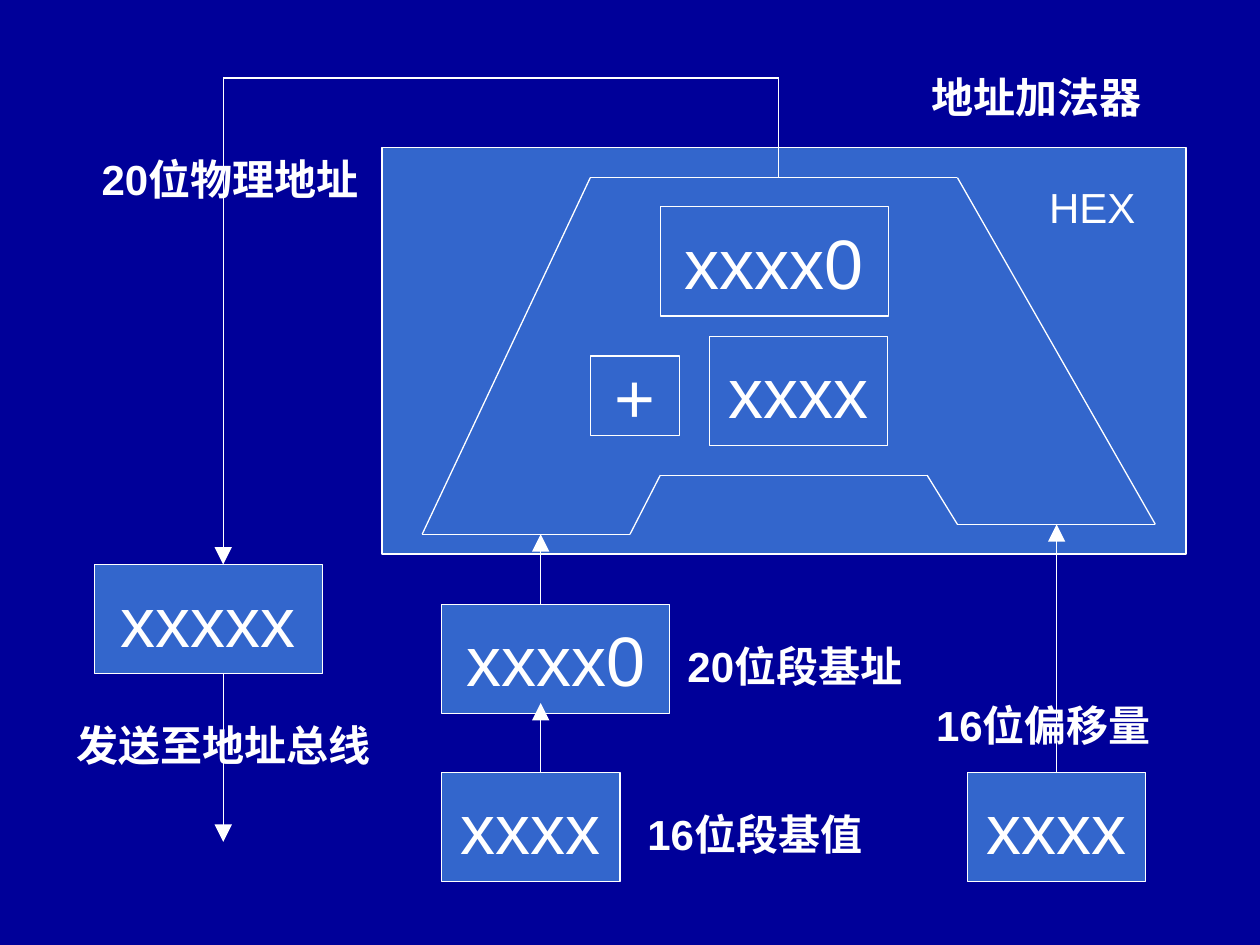
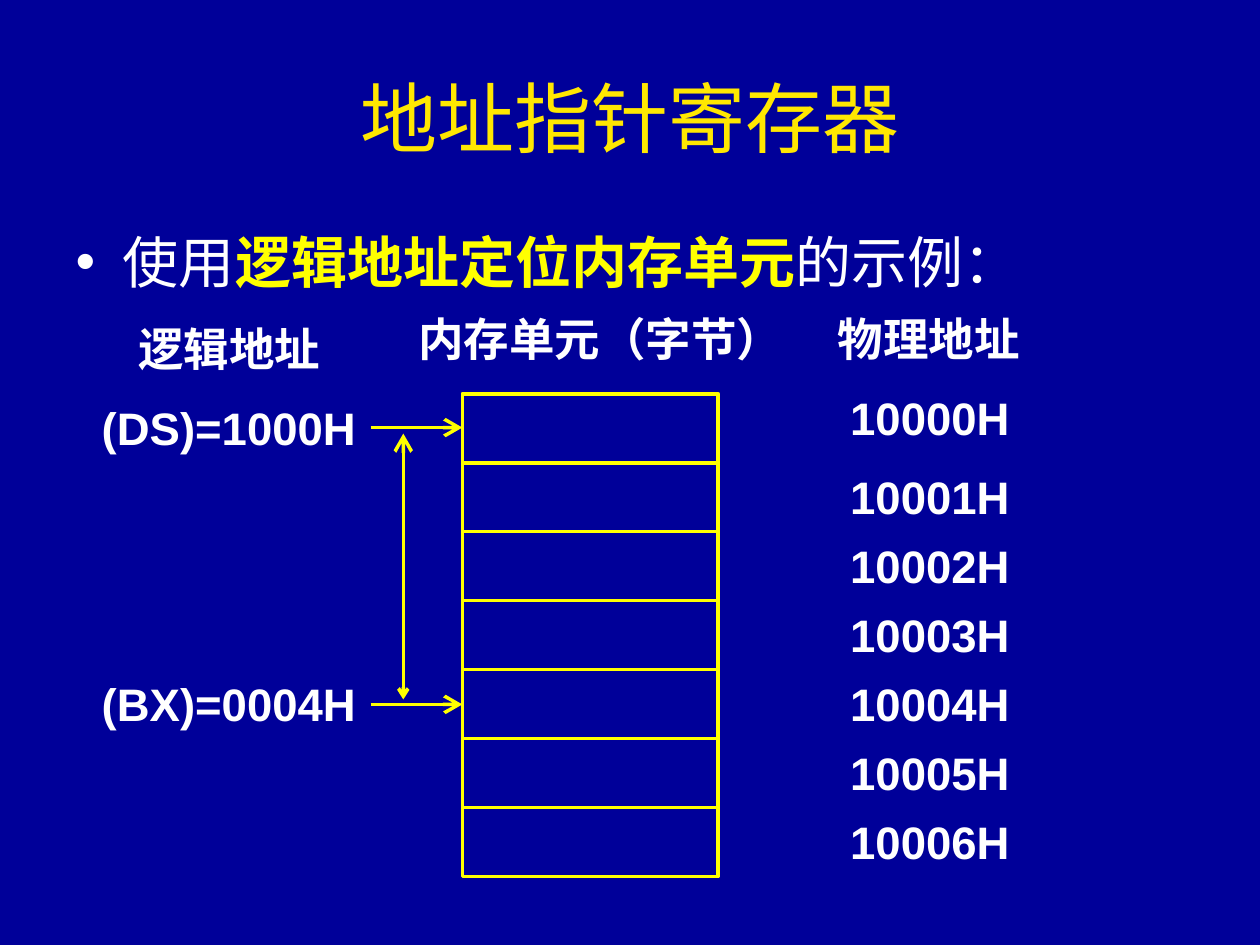
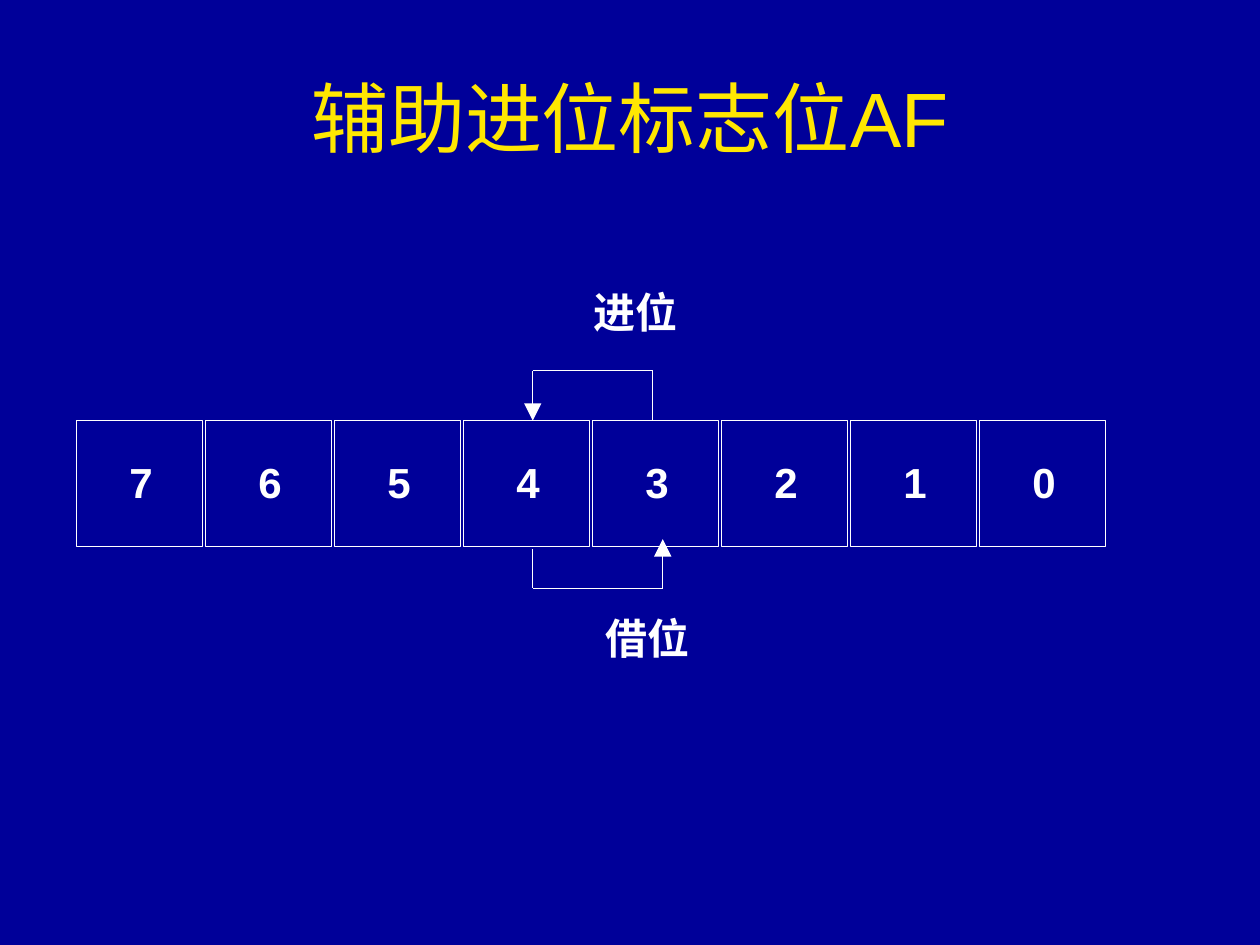
import dataclasses
import itertools
import typing

import lxml.etree
import pptx
import pptx.dml.color
import pptx.enum.shapes
import pptx.enum.text
import pptx.oxml.ns
import pptx.util

Cm = pptx.util.Cm
Pt = pptx.util.Pt
qn = pptx.oxml.ns.qn
Point = tuple[float, float]

HUES = {
    "back": "000099",
    "panel": "3366CC",
    "white": "FFFFFF",
    "title": "FFE701",
    "yellow": "FFFF00",
}
FACE = "Arial"
FORMS = {
    "title": {"size": Pt(44), "bold": False, "name": FACE},
    "list": {"size": Pt(32), "bold": False, "name": FACE},
    "strong": {"size": Pt(32), "bold": True, "name": FACE},
    "value": {"size": Pt(40), "bold": False, "name": FACE},
    "plain": {"size": Pt(24), "bold": False, "name": FACE},
    "label": {"size": Pt(24), "bold": True, "name": FACE},
    "head": {"size": Pt(26), "bold": True, "name": FACE},
}
THIN, THICK = 0.75, 2


# Elements, with all lengths in centimetres
@dataclasses.dataclass
class Box:
    left: float
    top: float
    width: float
    height: float
    text: str = ""
    fill: str = ""
    edge: str = "white"
    weight: float = THIN


@dataclasses.dataclass
class Label:
    left: float
    top: float
    width: float
    text: str
    form: str = "label"
    height: float = 1.27


@dataclasses.dataclass
class Route:
    points: list[Point]
    tail: str = ""
    head: str = ""
    hue: str = "white"
    weight: float = THIN


# Shared drawing
def color(name: str) -> pptx.dml.color.RGBColor:
    return pptx.dml.color.RGBColor.from_string(HUES[name])


def apply(target: typing.Any, form: dict[str, typing.Any]) -> None:
    for key, value in form.items():
        setattr(target, key, value)


def write(para: typing.Any, text: str, form: str, hue: str = "white") -> None:
    run = para.add_run()
    run.text = text
    apply(run.font, FORMS[form])
    run.font.color.rgb = color(hue)
    east = lxml.etree.SubElement(run.font._element, qn("a:ea"))
    east.set("typeface", FACE)


def place(shape: typing.Any, left: float, top: float,
          width: float, height: float) -> None:
    apply(shape, {"left": Cm(left), "top": Cm(top),
                  "width": Cm(width), "height": Cm(height)})


def stroke(line: typing.Any, hue: str, weight: float) -> None:
    line.color.rgb = color(hue)
    line.width = Pt(weight)


def draw_box(slide: typing.Any, box: Box) -> None:
    shape = slide.shapes.add_shape(
        pptx.enum.shapes.MSO_SHAPE.RECTANGLE,
        Cm(box.left), Cm(box.top), Cm(box.width), Cm(box.height))
    shape.shadow.inherit = False
    stroke(shape.line, box.edge, box.weight)
    if box.fill:
        shape.fill.solid()
        shape.fill.fore_color.rgb = color(box.fill)
    else:
        shape.fill.background()
    if box.text:
        frame = shape.text_frame
        apply(frame, {"word_wrap": False,
                      "vertical_anchor": pptx.enum.text.MSO_ANCHOR.MIDDLE})
        para = frame.paragraphs[0]
        para.alignment = pptx.enum.text.PP_ALIGN.CENTER
        write(para, box.text, "value")


def draw_label(slide: typing.Any, label: Label) -> None:
    shape = slide.shapes.add_textbox(
        Cm(label.left), Cm(label.top), Cm(label.width), Cm(label.height))
    frame = shape.text_frame
    # A narrow right inset keeps each label on one line
    apply(frame, {"word_wrap": False, "margin_right": Cm(0.1),
                  "auto_size": pptx.enum.text.MSO_AUTO_SIZE.SHAPE_TO_FIT_TEXT})
    write(frame.paragraphs[0], label.text, label.form)


def draw_route(slide: typing.Any, route: Route) -> None:
    for start, end in itertools.pairwise(route.points):
        line = slide.shapes.add_connector(
            pptx.enum.shapes.MSO_CONNECTOR.STRAIGHT,
            *map(Cm, start), *map(Cm, end))
        stroke(line.line, route.hue, route.weight)
        props = line._element.spPr
        ends = [
            ("a:headEnd", route.head if start == route.points[0] else "", "med"),
            ("a:tailEnd", route.tail if end == route.points[-1] else "", "lg"),
        ]
        for tag, kind, size in ends:
            if kind:
                tip = lxml.etree.SubElement(props.find(qn("a:ln")), qn(tag))
                for key, value in {"type": kind, "w": size, "len": size}.items():
                    tip.set(key, value)
        lxml.etree.SubElement(props, qn("a:effectLst"))


DRAW = {Box: draw_box, Label: draw_label, Route: draw_route}


def draw(slide: typing.Any, *items: Box | Label | Route) -> None:
    for item in items:
        DRAW[type(item)](slide, item)


def add_slide(deck: typing.Any, layout: int, title: str = "") -> typing.Any:
    slide = deck.slides.add_slide(deck.slide_layouts[layout])
    if title:
        shape = slide.shapes.title
        place(shape, 1.27, 0.76, 22.86, 3.18)
        shape.text_frame.vertical_anchor = pptx.enum.text.MSO_ANCHOR.MIDDLE
        para = shape.text_frame.paragraphs[0]
        para.alignment = pptx.enum.text.PP_ALIGN.CENTER
        write(para, title, "title", "title")
    return slide


# Slide 1: address adder
def adder(deck: typing.Any) -> None:
    slide = add_slide(deck, 6)
    outline = [(11.9, 3.58), (19.3, 3.58), (23.29, 10.57), (19.3, 10.57),
               (18.69, 9.58), (13.31, 9.58), (12.7, 10.77), (8.51, 10.77),
               (11.9, 3.58)]
    draw(slide, Box(7.7, 2.97, 16.21, 8.2, fill="panel"), Route(outline))

    short, long, tall = 3.6, 4.6, 2.2
    values = [
        (8.9, 15.57, short, tall, "xxxx"),
        (19.5, 15.57, short, tall, "xxxx"),
        (8.9, 12.18, long, tall, "xxxx0"),
        (13.31, 4.17, long, tall, "xxxx0"),
        (14.3, 6.78, short, tall, "xxxx"),
        (11.9, 7.18, 1.8, 1.6, "+"),
        (1.9, 11.38, long, tall, "xxxxx"),
    ]
    draw(slide, *(Box(*value, fill="panel") for value in values))

    flows = [
        [(10.9, 12.17), (10.9, 10.77)],
        [(10.9, 15.57), (10.9, 14.17)],
        [(21.3, 15.57), (21.3, 10.57)],
        [(15.7, 3.58), (15.7, 1.57), (4.5, 1.57), (4.5, 11.38)],
        [(4.5, 13.59), (4.5, 16.97)],
    ]
    draw(slide, *(Route(flow, "triangle") for flow in flows))

    draw(slide,
         Label(18.62, 13.97, 5.03, "16位偏移量"),
         Label(12.8, 16.18, 5.03, "16位段基值"),
         Label(13.61, 12.78, 5.03, "20位段基址"),
         Label(1.8, 2.97, 5.87, "20位物理地址"),
         Label(18.52, 1.32, 4.72, "地址加法器"),
         Label(1.3, 14.38, 6.43, "发送至地址总线"),
         Label(20.9, 3.53, 2.24, "HEX", "plain"))


# Slide 2: address pointer registers
def pointer(deck: typing.Any) -> None:
    slide = add_slide(deck, 1, "地址指针寄存器")
    body = slide.placeholders[1]
    place(body, 1.27, 4.45, 22.86, 2.31)
    para = body.text_frame.paragraphs[0]
    para.space_before = Pt(8)
    write(para, "使用", "list")
    write(para, "逻辑地址定位内存单元", "strong", "yellow")
    write(para, "的示例：", "list")

    # Memory cells and their addresses
    top, step = 7.94, 1.39
    rows = [top + step * row for row in range(7)]
    draw(slide, *(Box(9.32, row, 5.16, step, edge="yellow", weight=THICK)
                  for row in rows))
    for index, row in enumerate(rows):
        level = row if index else row - 0.2
        draw(slide, Label(16.89, level, 3.71, f"1000{index}H", "head", 1.37))

    heads = [
        (16.64, 6.15, 4.17, "物理地址"),
        (8.18, 6.15, 7.85, "内存单元（字节）"),
        (2.54, 6.35, 4.17, "逻辑地址"),
        (1.8, rows[0], 5.64, "(DS)=1000H"),
        (1.8, rows[4], 5.64, "(BX)=0004H"),
    ]
    draw(slide, *(Label(*head, "head", 1.37) for head in heads))

    # Base and offset arrows
    for level in (8.62, 14.2):
        draw(slide, Route([(7.47, level), (9.32, level)],
                          "arrow", "", "yellow", THICK))
    draw(slide, Route([(8.13, 14.1), (8.13, 8.74)],
                      "arrow", "arrow", "yellow", THICK))


# Slide 3: auxiliary carry flag
def carry(deck: typing.Any) -> None:
    slide = add_slide(deck, 5, "辅助进位标志位AF")
    left, top, side, step = 1.55, 8.48, 2.54, 2.6
    spots = [left + step * index for index in range(8)]
    draw(slide, *(Box(spot, top, side, side) for spot in spots))
    draw(slide, *(Label(spot + 0.81, top + 0.59, 0.97, str(7 - index))
                  for index, spot in enumerate(spots)))
    draw(slide,
         Route([(13.16, 8.48), (13.16, 7.47), (10.74, 7.47), (10.74, 8.48)],
               "triangle"),
         Route([(10.74, 11.07), (10.74, 11.86), (13.36, 11.86),
                (13.36, 10.87)], "triangle"),
         Label(11.71, 5.66, 2.18, "进位"),
         Label(11.96, 12.22, 2.18, "借位"))


def main() -> None:
    deck = pptx.Presentation()
    apply(deck, {"slide_width": Cm(25.4), "slide_height": Cm(19.05)})
    back = deck.slide_master.background.fill
    back.solid()
    back.fore_color.rgb = color("back")
    for build in (adder, pointer, carry):
        build(deck)
    deck.save("out.pptx")


if __name__ == "__main__":
    main()
